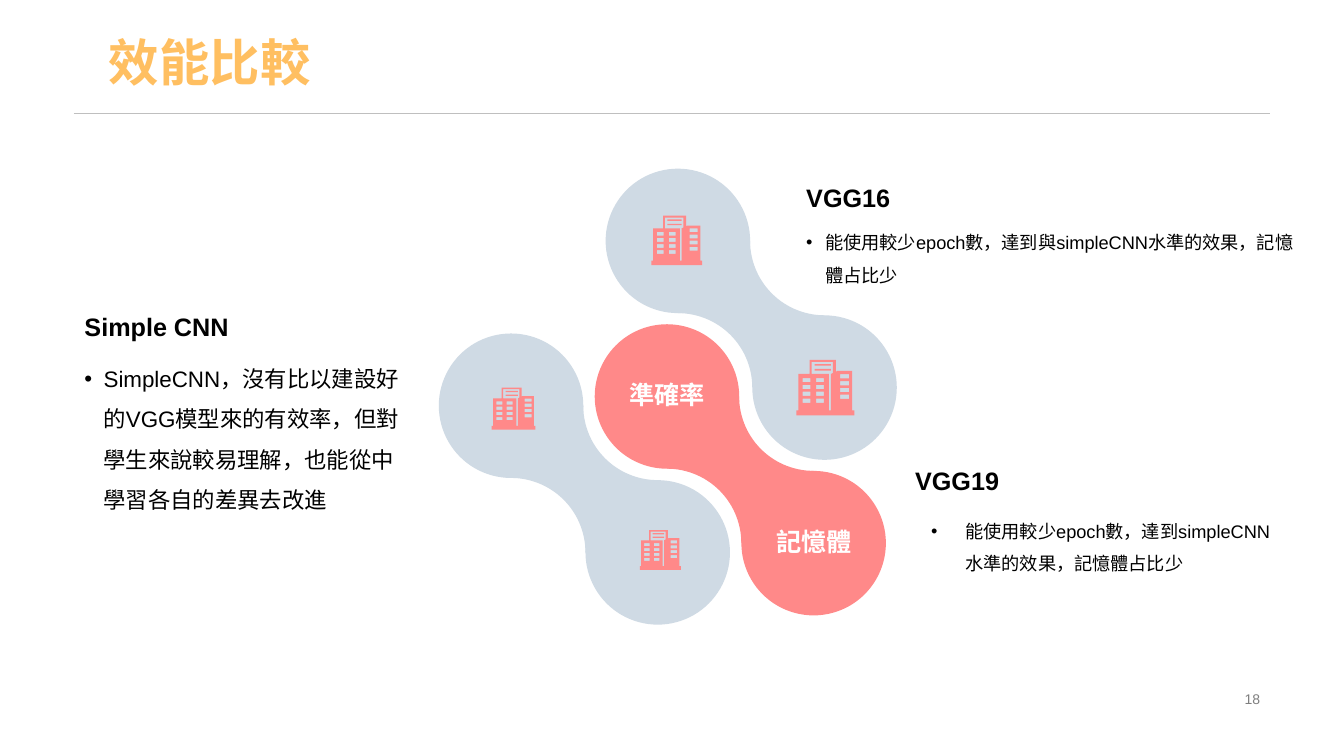
import math
from dataclasses import dataclass

import lxml.etree
import pptx
import pptx.dml.color
import pptx.enum.shapes
import pptx.enum.text
import pptx.oxml.ns
import pptx.util

ANCHOR = pptx.enum.text.MSO_ANCHOR
ALIGN = pptx.enum.text.PP_ALIGN
SHAPE = pptx.enum.shapes.MSO_SHAPE
qn = pptx.oxml.ns.qn

# Grid of square cells: 80 columns by 45 rows
COLS, ROWS = 80, 45
CELL = pptx.util.Inches(7.5) / ROWS

DIAMETER = 8.6
PITCH = 8.73  # between the two circles of a link, both across and down


@dataclass(frozen=True)
class Theme:
    font: str = "Arial"
    title: str = "FFBF61"
    rule: str = "BFBFBF"
    pale: str = "CFDAE4"
    accent: str = "FF8989"
    ink: str = "000000"
    white: str = "FFFFFF"
    number: str = "7F7F7F"
    title_pt: int = 36
    heading_pt: int = 18
    large_pt: int = 16
    body_pt: int = 13
    number_pt: int = 10


@dataclass(frozen=True)
class Link:
    """Two circles joined by a neck; x and y give the upper centre."""
    x: float
    y: float
    color: str


@dataclass(frozen=True)
class Icon:
    x: float
    y: float
    w: float
    h: float


@dataclass(frozen=True)
class Box:
    x: float
    y: float
    w: float
    h: float


@dataclass(frozen=True)
class Note:
    heading: str
    body: str
    head_box: Box
    body_box: Box
    pt: int
    margin: float = 0.19
    indent: float = -0.2


T = Theme()

LINKS = [
    Link(40.35, 14.34, T.pale),
    Link(39.7, 23.6, T.accent),
    Link(30.42, 24.15, T.pale),
]
ICONS = [
    Icon(47.4, 21.42, 3.45, 3.3),
    Icon(38.78, 12.84, 3.02, 2.94),
    Icon(38.08, 31.56, 2.44, 2.36),
    Icon(29.27, 23.08, 2.6, 2.5),
]
LABELS = ["準確率", "記憶體"]
NOTES = [
    Note("Simple CNN",
         "SimpleCNN，沒有比以建設好的VGG模型來的有效率，但對學生來說較易理解，也能從中學習各自的差異去改進",
         Box(4.44, 18.06, 20.16, 2.58), Box(4.44, 20.64, 20.16, 15.36), T.large_pt),
    Note("VGG16", "能使用較少epoch數，達到與simpleCNN水準的效果，記憶體占比少",
         Box(47.4, 10.38, 30.48, 2.58), Box(47.4, 12.84, 30.48, 6), T.body_pt),
    Note("VGG19", "能使用較少epoch數，達到simpleCNN水準的效果，記憶體占比少",
         Box(53.88, 27.24, 21.72, 2.58), Box(53.88, 30, 23.22, 6), T.body_pt, 0.5, -0.34),
]


def cells(n: float) -> int:
    return round(n * CELL)


def rgb(color: str):
    return pptx.dml.color.RGBColor.from_string(color)


def paint(sp, color: str) -> None:
    sp.shadow.inherit = False
    sp.fill.solid()
    sp.fill.fore_color.rgb = rgb(color)
    sp.line.fill.background()


def write(sp, text: str, pt: int, color: str, bold=False, align=ALIGN.LEFT, anchor=ANCHOR.TOP):
    tf = sp.text_frame
    tf.word_wrap = True
    tf.auto_size = pptx.enum.text.MSO_AUTO_SIZE.NONE
    tf.vertical_anchor = anchor
    p = tf.paragraphs[0]
    p.text = text
    p.alignment = align
    font = p.runs[0].font
    font.name, font.size, font.bold = T.font, pptx.util.Pt(pt), bold
    font.color.rgb = rgb(color)
    return p


def add_text(s, box: Box, *args, **kwargs):
    sp = s.shapes.add_textbox(*map(cells, (box.x, box.y, box.w, box.h)))
    return write(sp, *args, **kwargs)


def arc(cx: float, cy: float, r: float, start: int) -> list[tuple[int, int]]:
    """Quarter circle, clockwise from start degrees."""
    angles = [math.radians(start + a) for a in range(0, 91, 3)]
    return [(cells(cx + r * math.cos(a)), cells(cy + r * math.sin(a))) for a in angles]


def add_link(s, link: Link) -> None:
    for step in (0, PITCH):
        left, top = link.x + step - DIAMETER / 2, link.y + step - DIAMETER / 2
        paint(s.shapes.add_shape(SHAPE.OVAL, cells(left), cells(top),
                                 cells(DIAMETER), cells(DIAMETER)), link.color)
    r = PITCH - DIAMETER / 2
    pts = arc(link.x, link.y + PITCH, r, 270) + arc(link.x + PITCH, link.y, r, 90)
    fb = s.shapes.build_freeform(*pts[0])
    fb.add_line_segments(pts[1:], close=True)
    paint(fb.convert_to_shape(), link.color)


def rect(x: int, y: int, w: int, h: int) -> list[tuple[int, int]]:
    return [(x, y), (x + w, y), (x + w, y + h), (x, y + h)]


def add_icon(s, icon: Icon) -> None:
    """Office buildings on a field of 570 by 550 units, windows cut out."""
    outline = [(130, 0), (390, 0), (390, 120), (400, 110), (550, 110), (550, 500), (570, 500),
               (570, 550), (0, 550), (0, 500), (20, 500), (20, 140), (130, 140)]
    sign = [(150, 20), (150, 140), (320, 140), (320, 500), (340, 500),
            (340, 140), (360, 130), (360, 20)]
    lines = [rect(180, y, 160, 16) for y in (42, 90)]
    windows = [rect(x, top + 68 * row, w, 42)
               for x, top, w in ((62, 180, 76), (196, 180, 76), (430, 142, 90))
               for row in range(4)]
    fb = s.shapes.build_freeform(*outline[0], scale=(icon.w * CELL / 570, icon.h * CELL / 550))
    fb.add_line_segments(outline[1:], close=True)
    for contour in [sign, *lines, *windows]:
        fb.move_to(*contour[0])
        fb.add_line_segments(contour[1:], close=True)
    paint(fb.convert_to_shape(cells(icon.x), cells(icon.y)), T.accent)


def add_note(s, note: Note) -> None:
    add_text(s, note.body_box, note.body, note.pt, T.ink)
    p = s.shapes[-1].text_frame.paragraphs[0]
    p.line_spacing = 1.5
    pPr = p._p.get_or_add_pPr()
    pPr.set("marL", str(pptx.util.Inches(note.margin)))
    pPr.set("indent", str(pptx.util.Inches(note.indent)))
    clr = lxml.etree.SubElement(pPr, qn("a:buClr"))
    lxml.etree.SubElement(clr, qn("a:srgbClr"), val=T.ink)
    lxml.etree.SubElement(pPr, qn("a:buFont"), typeface=T.font)
    lxml.etree.SubElement(pPr, qn("a:buChar"), char="•")
    add_text(s, note.head_box, note.heading, T.heading_pt, T.ink, bold=True, anchor=ANCHOR.BOTTOM)


def main() -> None:
    prs = pptx.Presentation()
    prs.slide_width, prs.slide_height = cells(COLS), cells(ROWS)
    s = prs.slides.add_slide(prs.slide_layouts[5])

    # Title and rule
    title = s.shapes.title
    title.left, title.top, title.width, title.height = map(cells, (5.88, -0.9, 71.22, 6.72))
    p = write(title, "效能比較", T.title_pt, T.title, bold=True, anchor=ANCHOR.BOTTOM)
    p.line_spacing = 0.9
    rule = s.shapes.add_connector(pptx.enum.shapes.MSO_CONNECTOR.STRAIGHT,
                                  *map(cells, (4.4, 6.75, 75.6, 6.75)))
    rule.line.color.rgb = rgb(T.rule)
    rule.line.width = pptx.util.Pt(0.75)
    lxml.etree.SubElement(rule.element.spPr, qn("a:effectLst"))

    # Linked circles with icons
    for link in LINKS:
        add_link(s, link)
    for icon in ICONS:
        add_icon(s, icon)

    # Labels of the middle link
    for i, label in enumerate(LABELS):
        box = Box(35.58 + i * PITCH, 22.2 + i * PITCH, 8.28, 2.58)
        add_text(s, box, label, T.heading_pt, T.white, bold=True,
                 align=ALIGN.CENTER, anchor=ANCHOR.MIDDLE)

    # Notes and slide number
    for note in NOTES:
        add_note(s, note)
    add_text(s, Box(56.52, 40.92, 19.08, 1.38), "18", T.number_pt, T.number,
             align=ALIGN.RIGHT, anchor=ANCHOR.MIDDLE)

    prs.save("out.pptx")


if __name__ == "__main__":
    main()
